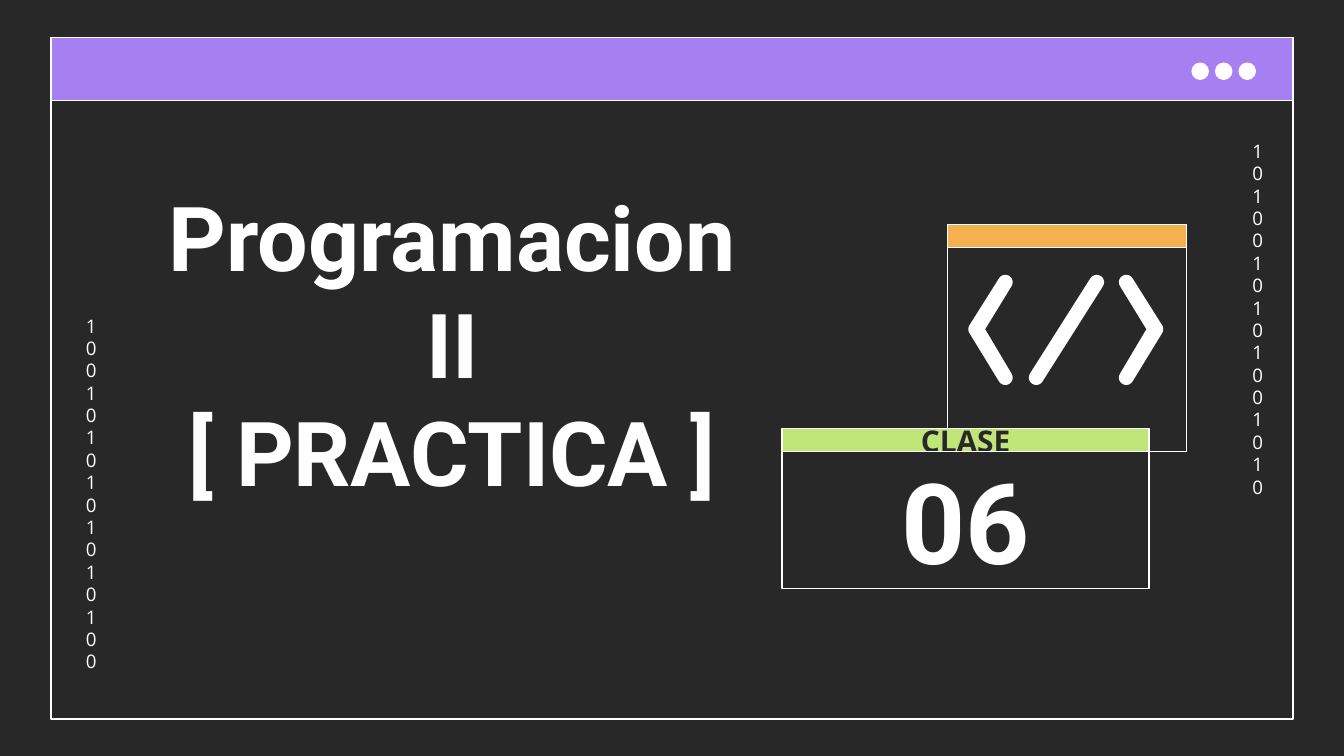
from dataclasses import dataclass
from math import atan2, cos, pi, sin

from pptx import Presentation
from pptx.dml.color import RGBColor
from pptx.enum.shapes import MSO_SHAPE
from pptx.enum.text import MSO_ANCHOR, PP_ALIGN
from pptx.util import Inches, Pt


@dataclass(frozen=True)
class Theme:
    dark: RGBColor = RGBColor(0x29, 0x28, 0x28)
    white: RGBColor = RGBColor(0xFF, 0xFF, 0xFF)
    purple: RGBColor = RGBColor(0xA6, 0x7F, 0xF1)
    orange: RGBColor = RGBColor(0xF5, 0xB1, 0x50)
    green: RGBColor = RGBColor(0xC0, 0xE6, 0x7A)
    heading_font: str = "Roboto"
    body_font: str = "Open Sans"
    title_size: float = 48
    number_size: float = 60
    label_size: float = 16
    digit_size: float = 10
    line_width: float = 0.75


THEME = Theme()
BAR_HEIGHT = 0.17


def add_panel(page, left, top, width, height, fill=None, kind=MSO_SHAPE.RECTANGLE):
    """White-outlined shape, hollow unless a fill is given."""
    panel = page.shapes.add_shape(
        kind, Inches(left), Inches(top), Inches(width), Inches(height))
    panel.shadow.inherit = False
    if fill is None:
        panel.fill.background()
    else:
        panel.fill.solid()
        panel.fill.fore_color.rgb = fill
    panel.line.color.rgb = THEME.white
    panel.line.width = Pt(THEME.line_width)
    return panel


def write(shape, text, font, size, color=THEME.white, bold=False,
          anchor=MSO_ANCHOR.MIDDLE, spacing=None):
    """Centred text with even insets."""
    frame = shape.text_frame
    frame.word_wrap = True
    frame.vertical_anchor = anchor
    frame.margin_left = frame.margin_right = Inches(0.1)
    frame.margin_top = frame.margin_bottom = Inches(0.1)
    para = frame.paragraphs[0]
    para.text = text
    para.alignment = PP_ALIGN.CENTER
    if spacing:
        para.line_spacing = spacing
    for span in para.runs:
        span.font.name = font
        span.font.size = Pt(size)
        span.font.bold = bold
        span.font.color.rgb = color


def add_window(page, left, top, width, height):
    """Browser-like frame with a title bar and three buttons."""
    add_panel(page, left, top, width, height)
    add_panel(page, left, top, width, 0.47, THEME.purple)
    for index in range(3):
        add_panel(page, left + width - 0.75 + index * 0.175, top + 0.19,
                  0.12, 0.12, THEME.white, MSO_SHAPE.OVAL)


def add_digits(page, left, top, width, height, digits):
    """Column so narrow that each digit wraps onto its own line."""
    box = page.shapes.add_textbox(
        Inches(left), Inches(top), Inches(width), Inches(height))
    write(box, digits, THEME.body_font, THEME.digit_size,
          anchor=MSO_ANCHOR.TOP, spacing=Pt(12))


def add_title(page, left, top, width, height):
    box = page.shapes.add_textbox(
        Inches(left), Inches(top), Inches(width), Inches(height))
    write(box, "Programacion II\v[ PRACTICA ]", THEME.heading_font,
          THEME.title_size, bold=True, anchor=MSO_ANCHOR.TOP, spacing=Pt(57.6))


def arc(center, start, end, radius=0.055, steps=10):
    angles = [start + (end - start) * step / steps for step in range(steps + 1)]
    return [(center[0] + radius * cos(angle), center[1] + radius * sin(angle))
            for angle in angles]


def add_code_symbol(page, left, top, width):
    """The </> sign: one freeform of three round-ended strokes."""
    upper, elbow, lower, notch = (0.28, 0.06), (0.06, 0.41), (0.28, 0.77), (0.13, 0.41)
    rise = atan2(upper[1] - elbow[1], upper[0] - elbow[0])
    chevron = (arc(upper, rise - pi / 2, rise + pi / 2) + [notch]
               + arc(lower, -rise - pi / 2, -rise + pi / 2)
               + arc(elbow, -rise + pi / 2, rise + 3 * pi / 2))
    mirrored = [(width - x, y) for x, y in chevron]

    head, foot = (0.96, 0.06), (0.51, 0.77)
    slope = atan2(head[1] - foot[1], head[0] - foot[0])
    slash = (arc(head, slope - pi / 2, slope + pi / 2)
             + arc(foot, slope + pi / 2, slope + 3 * pi / 2))

    outlines = [[(Inches(left + x), Inches(top + y)) for x, y in outline]
                for outline in (chevron, slash, mirrored)]
    builder = page.shapes.build_freeform(*outlines[0][0])
    for index, outline in enumerate(outlines):
        if index:
            builder.move_to(*outline[0])
        builder.add_line_segments(outline[1:], close=True)
    symbol = builder.convert_to_shape()
    symbol.shadow.inherit = False
    symbol.fill.solid()
    symbol.fill.fore_color.rgb = THEME.white
    symbol.line.fill.background()


def add_code_window(page, left, top, width, height):
    add_panel(page, left, top, width, height)
    add_panel(page, left, top, width, BAR_HEIGHT, THEME.orange)
    add_code_symbol(page, left + 0.15, top + 0.37, 1.46)


def add_class_card(page, left, top, width, height):
    label = add_panel(page, left, top, width, BAR_HEIGHT, THEME.green)
    write(label, "CLASE", THEME.body_font, THEME.label_size, THEME.dark, bold=True)
    number = add_panel(page, left, top + BAR_HEIGHT, width, height - BAR_HEIGHT)
    write(number, "06", THEME.heading_font, THEME.number_size, bold=True)


def main():
    # Widescreen page, 16:9
    deck = Presentation()
    deck.slide_width = Inches(10)
    deck.slide_height = Inches(10 * 9 / 16)
    page = deck.slides.add_slide(deck.slide_layouts[6])
    page.background.fill.solid()
    page.background.fill.fore_color.rgb = THEME.dark

    # Frame and binary decoration
    add_window(page, 0.38, 0.28, 9.24, 5.07)
    add_digits(page, 9.22, 0.94, 0.24, 2.8, "1010010101001010")
    add_digits(page, 0.54, 2.24, 0.24, 2.8, "1001010101010100")

    # Title and class number
    add_code_window(page, 7.05, 1.67, 1.78, 1.69)
    add_title(page, 0.92, 1.25, 4.89, 3.38)
    add_class_card(page, 5.82, 3.19, 2.73, 1.19)

    deck.save("out.pptx")


if __name__ == "__main__":
    main()
